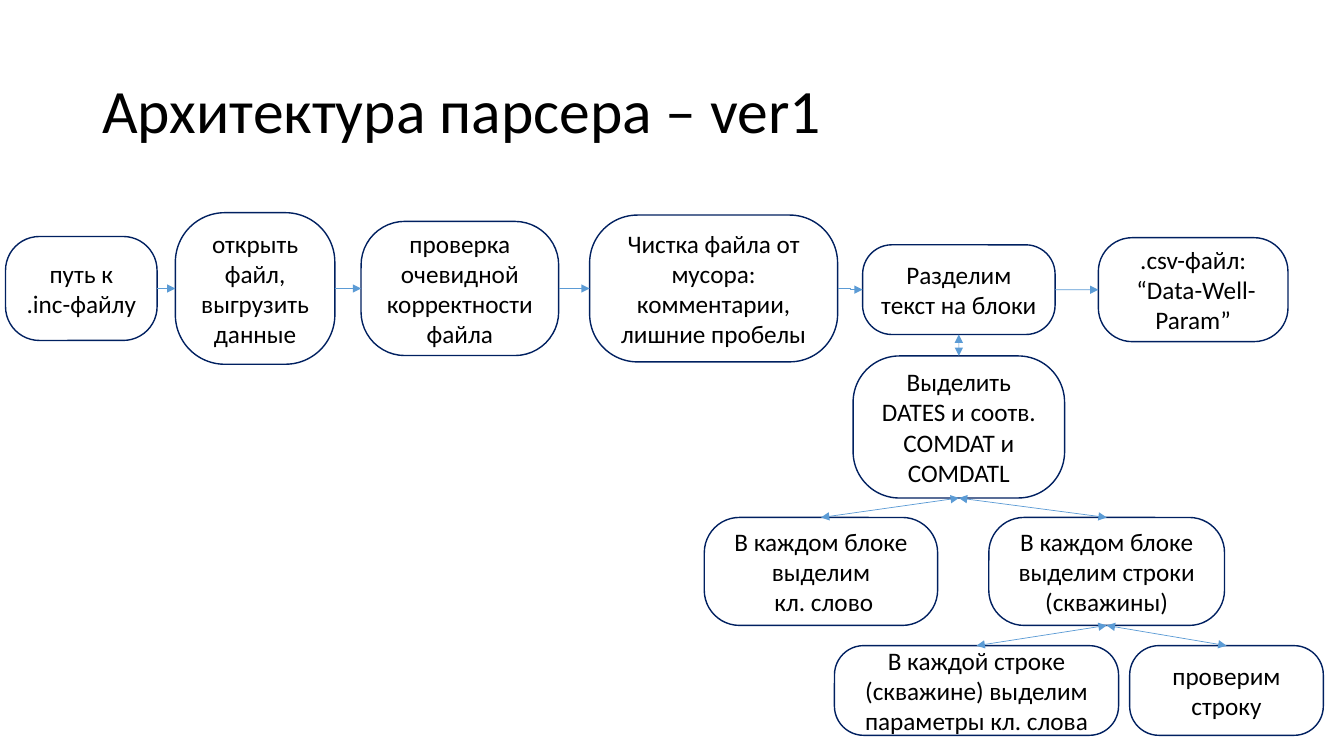
from lxml import etree
from pptx import Presentation
from pptx.dml.color import RGBColor
from pptx.enum.shapes import MSO_CONNECTOR, MSO_SHAPE
from pptx.enum.text import MSO_ANCHOR, PP_ALIGN
from pptx.oxml.ns import qn
from pptx.util import Cm, Pt

ROUNDED = MSO_SHAPE.ROUNDED_RECTANGLE
STRAIGHT, ELBOW = MSO_CONNECTOR.STRAIGHT, MSO_CONNECTOR.ELBOW
MIDDLE, CENTER = MSO_ANCHOR.MIDDLE, PP_ALIGN.CENTER
BLACK = RGBColor(0x00, 0x00, 0x00)
WHITE = RGBColor(0xFF, 0xFF, 0xFF)
NAVY = RGBColor(0x00, 0x20, 0x60)
BLUE = RGBColor(0x5B, 0x9B, 0xD5)
FONT = "Calibri"
TOP, LEFT, BOTTOM, RIGHT = range(4)  # connection sites of a rounded rectangle


def add_span(para, text, size):
    """Add a run in the slide's font to a paragraph."""
    span = para.add_run()
    span.text = text
    span.font.name = FONT
    span.font.size = Pt(size)
    span.font.color.rgb = BLACK


def add_arrow(page, kind, start, start_site, end, end_site, both_ends):
    """Join two boxes with a thin arrow, pointing one way or both."""
    arrow = page.shapes.add_connector(kind, 0, 0, 0, 0)
    arrow.begin_connect(start, start_site)
    arrow.end_connect(end, end_site)
    arrow.line.color.rgb = BLUE
    arrow.line.width = Pt(0.5)
    line = arrow.line._get_or_add_ln()
    for tag in ("a:headEnd", "a:tailEnd") if both_ends else ("a:tailEnd",):
        etree.SubElement(line, qn(tag)).set("type", "triangle")
    etree.SubElement(arrow._element.spPr, qn("a:effectLst"))


deck = Presentation()
deck.slide_width, deck.slide_height = Cm(33.87), Cm(19.05)
page = deck.slides.add_slide(deck.slide_layouts[6])

title = page.shapes.add_textbox(Cm(2.33), Cm(1.01), Cm(29.21), Cm(3.68))
title.text_frame.word_wrap = True
title.text_frame.vertical_anchor = MIDDLE
title_para = title.text_frame.paragraphs[0]
title_para.line_spacing = 0.9
add_span(title_para, "Архитектура парсера – ver1", 44)

# name: left, vertical centre, width, height (cm), paragraphs
steps = {
    "path": (0.14, 7.27, 3.82, 2.62, ["путь к", ".inc-файлу"]),
    "open": (4.42, 7.27, 4.02, 3.82, ["открыть файл, выгрузить данные"]),
    "check": (9.1, 7.27, 4.98, 3.38, ["проверка очевидной корректности файла"]),
    "clean": (14.86, 7.27, 6.25, 3.7,
              ["Чистка файла от мусора:", "комментарии, лишние пробелы"]),
    "split": (21.74, 7.3, 4.85, 2.26, ["Разделим текст на блоки"]),
    "csv": (27.68, 7.3, 4.78, 2.62, [".csv-файл:\n “Data-Well-Param”"]),
    "dates": (21.5, 10.76, 5.33, 3.58, ["Выделить DATES и соотв. COMDAT и COMDATL"]),
    "keyword": (17.75, 14.4, 5.88, 2.72, ["В каждом блоке выделим\n кл. слово"]),
    "rows": (24.92, 14.4, 5.94, 2.72, ["В каждом блоке выделим строки (скважины)"]),
    "params": (21.03, 17.4, 7.16, 2.26,
               ["В каждой строке (скважине) выделим", "параметры кл. слова"]),
    "verify": (28.47, 17.4, 4.88, 2.26, ["проверим строку"]),
}
boxes = {}
for name, (left, middle, width, height, texts) in steps.items():
    box = page.shapes.add_shape(
        ROUNDED, Cm(left), Cm(middle - height / 2), Cm(width), Cm(height))
    box.adjustments[0] = 0.326
    box.shadow.inherit = False
    box.fill.solid()
    box.fill.fore_color.rgb = WHITE
    box.line.color.rgb = NAVY
    box.line.width = Pt(1)
    frame = box.text_frame
    frame.word_wrap = True
    frame.vertical_anchor = MIDDLE
    for index, text in enumerate(texts):
        para = frame.add_paragraph() if index else frame.paragraphs[0]
        para.alignment = CENTER
        for row, part in enumerate(text.split("\n")):
            if row:
                para.add_line_break()
            add_span(para, part, 18)
    boxes[name] = box

flow = ["path", "open", "check", "clean", "split", "csv"]
for start, end in zip(flow, flow[1:]):
    kind = ELBOW if start == "clean" else STRAIGHT
    add_arrow(page, kind, boxes[start], RIGHT, boxes[end], LEFT, False)

branches = [("split", "dates"), ("dates", "keyword"), ("dates", "rows"),
            ("rows", "params"), ("rows", "verify")]
for parent, child in branches:
    add_arrow(page, STRAIGHT, boxes[parent], BOTTOM, boxes[child], TOP, True)

deck.save("out.pptx")
